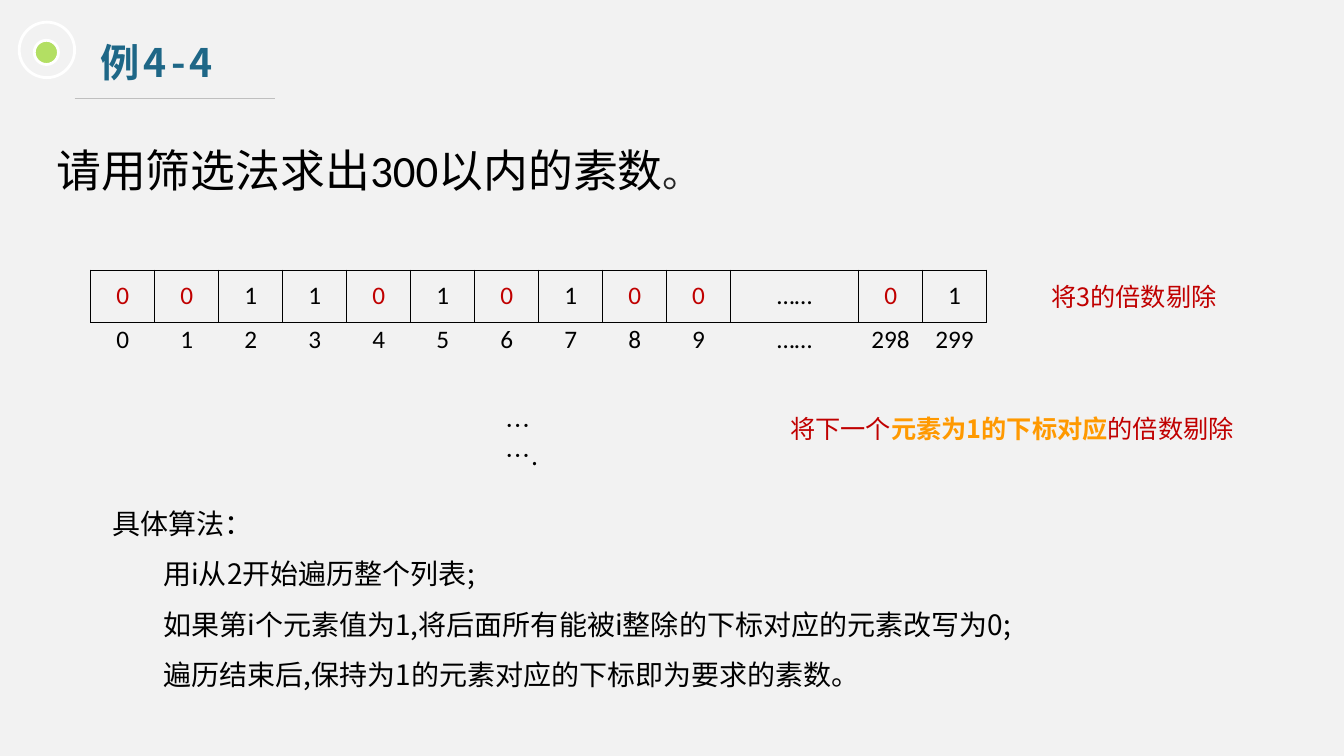
import dataclasses

import lxml.etree
import pptx
import pptx.dml.color
import pptx.enum.shapes
import pptx.enum.text
import pptx.oxml.ns
import pptx.util

RGBColor = pptx.dml.color.RGBColor
BACKGROUND = RGBColor(0xF2, 0xF2, 0xF2)
BLACK = RGBColor(0x00, 0x00, 0x00)
DARK_GREY = RGBColor(0x26, 0x26, 0x26)
GREY = RGBColor(0xBF, 0xBF, 0xBF)
WHITE = RGBColor(0xFF, 0xFF, 0xFF)
BLUE = RGBColor(0x1E, 0x67, 0x87)
GREEN = RGBColor(0xB3, 0xDF, 0x63)
RED = RGBColor(0xC0, 0x00, 0x00)
ORANGE = RGBColor(0xFF, 0x99, 0x00)

LATIN = "Calibri"
CJK = "Noto Sans CJK SC"
NO_STYLE = "{2D5ABB26-0587-4C30-8999-92F81FD0307C}"
GRID = pptx.util.Inches(0.1)
CELL_COLS = 6.35
CELL_ROWS = 5.2
qn = pptx.oxml.ns.qn


@dataclasses.dataclass(frozen=True)
class Box:
    col: float
    row: float
    cols: float
    rows: float

    def emu(self) -> tuple[int, ...]:
        return tuple(grid(n) for n in dataclasses.astuple(self))


@dataclasses.dataclass(frozen=True)
class Run:
    text: str
    size: float = 18
    color: RGBColor = BLACK
    bold: bool = False
    font: str = CJK
    spacing: float = 0


@dataclasses.dataclass(frozen=True)
class Para:
    runs: tuple[Run, ...]
    line_spacing: float = 1.0
    indent: float = 0


@dataclasses.dataclass(frozen=True)
class TextBlock:
    box: Box
    paras: tuple[Para, ...]


@dataclasses.dataclass(frozen=True)
class Circle:
    box: Box
    fill: RGBColor | None


@dataclasses.dataclass(frozen=True)
class Strip:
    row: float
    values: tuple[str, ...]
    bordered: bool
    zero_color: RGBColor


def grid(n: float) -> int:
    return round(n * GRID)


def add_run(p, run: Run) -> None:
    r = p.add_run()
    r.text = run.text
    r.font.size = pptx.util.Pt(run.size)
    r.font.bold = run.bold
    r.font.name = run.font
    r.font.color.rgb = run.color
    rpr = r.font._element
    lxml.etree.SubElement(rpr, qn("a:ea"), typeface=run.font)
    if run.spacing:
        rpr.set("spc", str(round(run.spacing * 100)))


def add_text(shapes, block: TextBlock) -> None:
    tf = shapes.add_textbox(*block.box.emu()).text_frame
    tf.word_wrap = True
    for i, para in enumerate(block.paras):
        p = tf.paragraphs[0] if i == 0 else tf.add_paragraph()
        p.line_spacing = para.line_spacing
        if para.indent:
            p.level = 1
            ppr = p._p.get_or_add_pPr()
            ppr.set("marL", str(grid(para.indent)))
            ppr.set("indent", "0")
        for run in para.runs:
            add_run(p, run)


def add_circle(shapes, circle: Circle) -> None:
    sp = shapes.add_shape(pptx.enum.shapes.MSO_SHAPE.OVAL, *circle.box.emu())
    sp.shadow.inherit = False
    if circle.fill is None:
        sp.fill.background()
    else:
        sp.fill.solid()
        sp.fill.fore_color.rgb = circle.fill
    sp.line.color.rgb = WHITE
    sp.line.width = pptx.util.Pt(2)


def add_rule(shapes, left: float, right: float, row: float) -> None:
    line = shapes.add_connector(
        pptx.enum.shapes.MSO_CONNECTOR.STRAIGHT,
        grid(left), grid(row), grid(right), grid(row),
    )
    line.line.color.rgb = GREY
    line.line.width = pptx.util.Pt(0.75)
    lxml.etree.SubElement(line.element.spPr, qn("a:effectLst"))


def add_borders(cell) -> None:
    tcpr = cell._tc.get_or_add_tcPr()
    for i, side in enumerate(("lnL", "lnR", "lnT", "lnB")):
        ln = lxml.etree.Element(qn(f"a:{side}"), w=str(pptx.util.Pt(1)))
        fill = lxml.etree.SubElement(ln, qn("a:solidFill"))
        lxml.etree.SubElement(fill, qn("a:srgbClr"), val=str(BLACK))
        tcpr.insert(i, ln)


def add_strip(shapes, strip: Strip) -> None:
    widths = [CELL_COLS * (2 if v == "……" else 1) for v in strip.values]
    box = Box(9, strip.row, sum(widths), CELL_ROWS)
    frame = shapes.add_table(1, len(widths), *box.emu())
    table = frame.table
    table.first_row = False
    table.horz_banding = False
    next(frame.element.iter(qn("a:tableStyleId"))).text = NO_STYLE
    for i, (value, width) in enumerate(zip(strip.values, widths)):
        table.columns[i].width = grid(width)
        cell = table.cell(0, i)
        cell.fill.background()
        cell.vertical_anchor = pptx.enum.text.MSO_ANCHOR.MIDDLE
        p = cell.text_frame.paragraphs[0]
        p.alignment = pptx.enum.text.PP_ALIGN.CENTER
        color = strip.zero_color if value == "0" else BLACK
        add_run(p, Run(value, color=color, font=LATIN))
        if strip.bordered:
            add_borders(cell)


def step(text: str, indent: float = 5) -> Para:
    return Para((Run(text, 20),), 1.5, indent)


CIRCLES = (
    Circle(Box(3.4, 4, 2.4, 2.4), GREEN),
    Circle(Box(1.9, 2.2, 5.5, 5.5), None),
)
STRIPS = (
    Strip(26.8, (*"0011010100", "……", "0", "1"), True, RED),
    Strip(31.1, (*"0123456789", "……", "298", "299"), False, BLACK),
)
TEXTS = (
    TextBlock(Box(9, 3.3, 68.4, 5.7), (Para((Run("例4-4", 28, BLUE, True, spacing=3),)),)),
    TextBlock(Box(4.6, 13.7, 122.6, 7), (Para((
        Run("请用筛选法求出300以内的素数", 32, font=LATIN),
        Run("。", 28, DARK_GREY, font=LATIN),
    )),)),
    TextBlock(Box(103.3, 27.4, 18.6, 4), (Para((Run("将3的倍数剔除", color=RED),)),)),
    TextBlock(Box(49.2, 40.2, 6.9, 4), (Para((Run("…….",),)),)),
    TextBlock(Box(77.4, 40.5, 46.5, 4), (Para((
        Run("将下一个", color=RED),
        Run("元素为1的下标对应", color=ORANGE, bold=True),
        Run("的倍数剔除", color=RED),
    )),)),
    TextBlock(Box(10.2, 48.1, 91.8, 20.6), (
        step("具体算法：", 0),
        step("用i从2开始遍历整个列表;"),
        step("如果第i个元素值为1,将后面所有能被i整除的下标对应的元素改写为0;"),
        step("遍历结束后,保持为1的元素对应的下标即为要求的素数。"),
    )),
)


def main() -> None:
    prs = pptx.Presentation()
    prs.slide_width = pptx.util.Inches(13.33)
    prs.slide_height = pptx.util.Inches(7.5)
    slide = prs.slides.add_slide(prs.slide_layouts[6])
    slide.background.fill.solid()
    slide.background.fill.fore_color.rgb = BACKGROUND
    for circle in CIRCLES:
        add_circle(slide.shapes, circle)
    add_rule(slide.shapes, 7.4, 27.3, 9.8)
    for strip in STRIPS:
        add_strip(slide.shapes, strip)
    for block in TEXTS:
        add_text(slide.shapes, block)
    prs.save("out.pptx")


if __name__ == "__main__":
    main()
